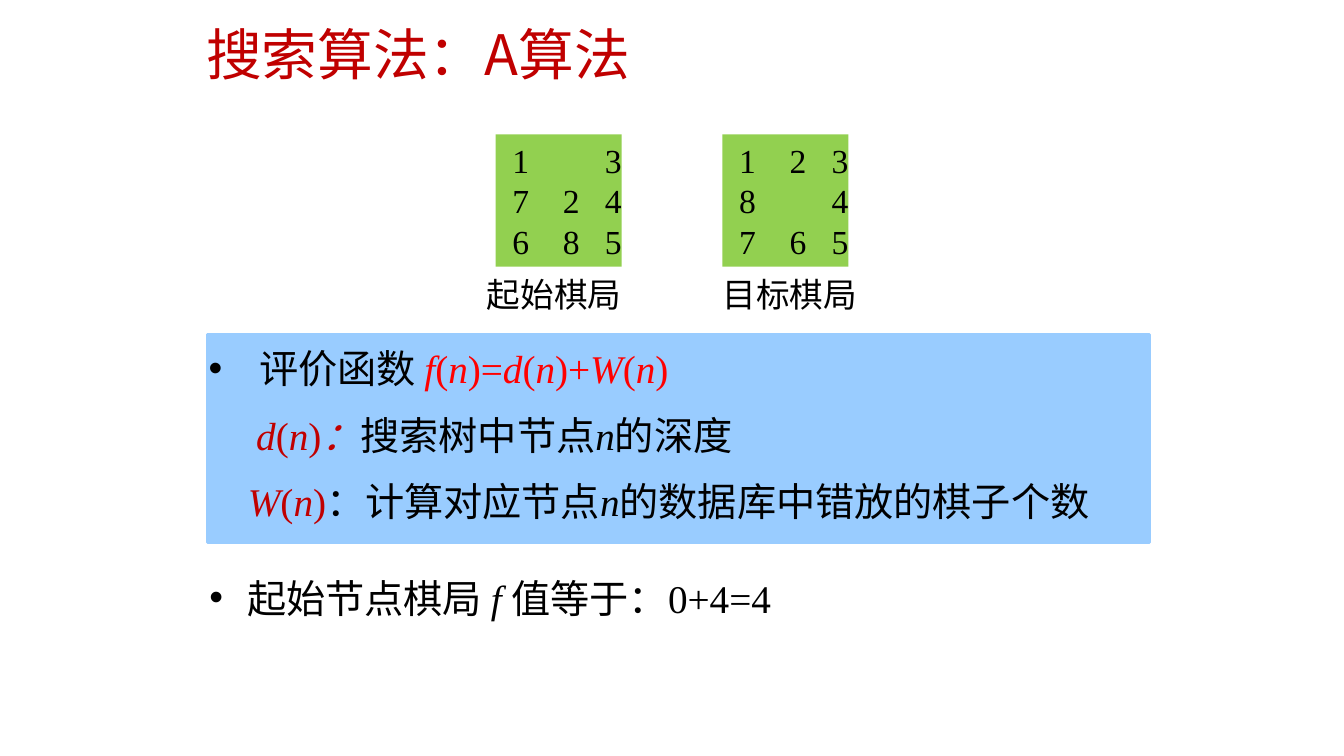
"""Builds a slide on the A search algorithm for the eight-tile puzzle."""
import itertools

import lxml.etree
import pptx
import pptx.dml.color
import pptx.enum.shapes
import pptx.enum.text
import pptx.oxml.ns
import pptx.util

Pt = pptx.util.Pt
qn = pptx.oxml.ns.qn
ALIGN = pptx.enum.text.PP_ALIGN
ANCHOR = pptx.enum.text.MSO_ANCHOR

COLORS = {"title": "C00000", "term": "C00000", "formula": "FF0000",
          "text": "000000", "panel": "99CCFF", "board": "92D050"}
SERIF = "Times New Roman"
SANS = "Noto Sans CJK JP"
TILE_COLUMNS = (12, 41, 65)
BOARD_TOP, BOARD_WIDTH, BOARD_HEIGHT = 96, 90, 94.5
CAPTION_TOP, CAPTION_WIDTH, CAPTION_HEIGHT = 192, 114.5, 36


def rgb(name):
    return pptx.dml.color.RGBColor.from_string(COLORS[name])


def style_run(r, size, color="text", font=SERIF, italic=False):
    r.font.size = Pt(size)
    r.font.name = font
    r.font.italic = italic
    r.font.color.rgb = rgb(color)


def set_indent(p, margin, first=0):
    pPr = p._p.get_or_add_pPr()
    pPr.set("marL", str(Pt(margin)))
    pPr.set("indent", str(Pt(first)))
    return pPr


def add_box(s, left, top, width, height, color):
    sp = s.shapes.add_shape(pptx.enum.shapes.MSO_SHAPE.RECTANGLE,
                            Pt(left), Pt(top), Pt(width), Pt(height))
    sp.shadow.inherit = False
    sp.fill.solid()
    sp.fill.fore_color.rgb = rgb(color)
    sp.line.fill.background()
    return sp


def add_text(s, left, top, width, height):
    tf = s.shapes.add_textbox(Pt(left), Pt(top), Pt(width), Pt(height)).text_frame
    tf.word_wrap = True
    return tf


def add_title(s, text):
    sp = s.shapes.title
    sp.left, sp.top, sp.width, sp.height = Pt(120), Pt(12), Pt(720), Pt(52)
    tf = sp.text_frame
    tf.text = text
    tf.vertical_anchor = ANCHOR.MIDDLE
    p = tf.paragraphs[0]
    p.alignment = ALIGN.LEFT
    set_indent(p, 20)
    style_run(p.runs[0], 39.8, "title", SANS)
    lxml.etree.SubElement(p.runs[0]._r.rPr, qn("a:ea"), typeface=SANS)


def add_board(s, left, rows):
    tf = add_box(s, left, BOARD_TOP, BOARD_WIDTH, BOARD_HEIGHT, "board").text_frame
    tf.margin_left = tf.margin_right = 0
    tf.vertical_anchor = ANCHOR.MIDDLE
    tf.text = "\n".join("\t".join(row).replace(" ", "") for row in rows)
    for p in tf.paragraphs:
        p.alignment = ALIGN.LEFT
        pPr = set_indent(p, TILE_COLUMNS[0])
        tabs = lxml.etree.SubElement(pPr, qn("a:tabLst"))
        for column in TILE_COLUMNS[1:]:
            lxml.etree.SubElement(tabs, qn("a:tab"), pos=str(Pt(column)), algn="l")
        style_run(p.runs[0], 24)


def add_caption(s, left, text):
    tf = add_text(s, left, CAPTION_TOP, CAPTION_WIDTH, CAPTION_HEIGHT)
    tf.text = text
    tf.paragraphs[0].alignment = ALIGN.CENTER
    style_run(tf.paragraphs[0].runs[0], 24)


def fill_line(p, parts, margin, bullet=False, italics="fndW"):
    """Write coloured parts, with the characters in italics slanted."""
    p.line_spacing = 1.25
    p.space_before = Pt(5.6)
    pPr = set_indent(p, margin, -margin if bullet else 0)
    if bullet:
        lxml.etree.SubElement(pPr, qn("a:buFont"), typeface="Arial")
        lxml.etree.SubElement(pPr, qn("a:buChar"), char="•")
    for text, color in parts:
        for italic, chars in itertools.groupby(text, lambda c: c in italics):
            r = p.add_run()
            r.text = "".join(chars)
            style_run(r, 28, color, italic=italic)


def main():
    prs = pptx.Presentation()
    prs.slide_width, prs.slide_height = Pt(960), Pt(540)
    s = prs.slides.add_slide(prs.slide_layouts[5])
    add_title(s, "搜索算法：A算法")

    panel = add_box(s, 148, 239, 673, 148.5, "panel")
    panel.line.color.rgb = rgb("panel")
    panel.line.width = Pt(2)
    tf = add_text(s, 142, 234, 720, 153.5)
    fill_line(tf.paragraphs[0],
              [("评价函数 ", "text"), ("f(n)=d(n)+W(n)", "formula")], 36, bullet=True)
    fill_line(tf.add_paragraph(),
              [("d(n)：", "term"), ("搜索树中节点n的深度", "text")], 34, italics="dn：")
    fill_line(tf.add_paragraph(),
              [("W(n)", "term"), ("：计算对应节点n的数据库中错放的棋子个数", "text")], 28)

    add_board(s, 354, ("1 3", "724", "685"))
    add_board(s, 516, ("123", "8 4", "765"))
    add_caption(s, 338.5, "起始棋局")
    add_caption(s, 507, "目标棋局")

    tf = add_text(s, 142.5, 398, 684, 42)
    fill_line(tf.paragraphs[0], [("起始节点棋局 f 值等于：0+4=4", "text")], 27, bullet=True)
    prs.save("out.pptx")


if __name__ == "__main__":
    main()
